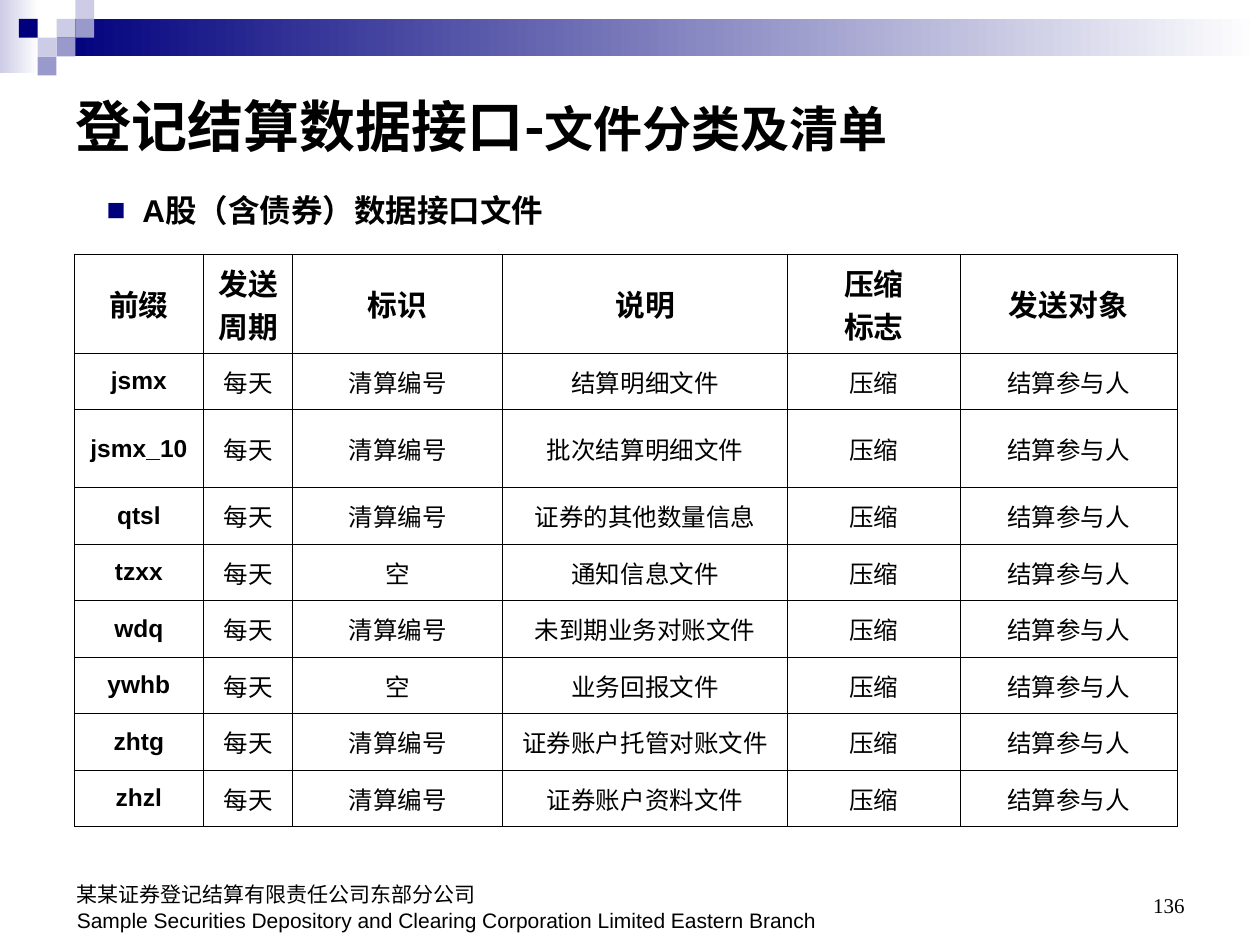
from lxml import etree
from pptx import Presentation
from pptx import util as u
from pptx.dml.color import RGBColor
from pptx.enum import shapes, text
from pptx.oxml.ns import qn

NAVY, LILAC, PALE, WHITE, BLACK = "00007D", "9999CC", "CCCCE6", "FFFFFF", "000000"
LATIN, ASIAN, SERIF = "Arial", "Noto Sans CJK SC", "Times New Roman"
LEFT, CENTER, RIGHT = text.PP_ALIGN.LEFT, text.PP_ALIGN.CENTER, text.PP_ALIGN.RIGHT
SQUARE = 0.38  # side of the header squares, cm


def color(value):
    return RGBColor.from_string(value)


class SlideBuilder:
    def __init__(self, slide):
        self.slide = slide

    def place(self, shape, left, top, width, height):
        shape.left, shape.top = u.Cm(left), u.Cm(top)
        shape.width, shape.height = u.Cm(width), u.Cm(height)

    def run(self, paragraph, words, size, bold=False, latin=LATIN):
        run = paragraph.add_run()
        run.text = words
        run.font.size, run.font.bold, run.font.name = u.Pt(size), bold, latin
        run.font.color.rgb = color(BLACK)
        etree.SubElement(run._r.get_or_add_rPr(), qn("a:ea"), typeface=ASIAN)

    def indent(self, paragraph, length):
        properties = paragraph._p.get_or_add_pPr()
        properties.set("marL", str(u.Cm(length)))
        properties.set("indent", str(-u.Cm(length)))
        return properties

    def title(self, box, runs):
        shape = self.slide.shapes.title
        self.place(shape, *box)
        frame = shape.text_frame
        frame.auto_size = text.MSO_AUTO_SIZE.NONE
        frame.vertical_anchor = text.MSO_ANCHOR.BOTTOM
        paragraph = frame.paragraphs[0]
        paragraph.alignment = LEFT
        for words, size in runs:
            self.run(paragraph, words, size, True, ASIAN)

    def rectangle(self, box, start, end=None):
        shape = self.slide.shapes.add_shape(
            shapes.MSO_SHAPE.RECTANGLE, *[u.Cm(length) for length in box])
        shape.shadow.inherit = False
        shape.line.fill.background()
        if end is None:
            shape.fill.solid()
            shape.fill.fore_color.rgb = color(start)
            return
        shape.fill.gradient()
        shape.fill.gradient_angle = 0
        for stop, value in zip(shape.fill.gradient_stops, (start, end)):
            stop.color.rgb = color(value)

    def text_box(self, box, lines, size, bold=False, latin=LATIN, align=LEFT,
                 anchor=text.MSO_ANCHOR.BOTTOM, bullet=False):
        frame = self.slide.shapes.add_textbox(
            *[u.Cm(length) for length in box]).text_frame
        frame.word_wrap = True
        frame.vertical_anchor = anchor
        for index, words in enumerate(lines):
            paragraph = frame.add_paragraph() if index else frame.paragraphs[0]
            paragraph.alignment = align
            if bullet:
                properties = self.indent(paragraph, 0.72)
                bullet_color = etree.SubElement(properties, qn("a:buClr"))
                etree.SubElement(bullet_color, qn("a:srgbClr"), val=NAVY)
                etree.SubElement(properties, qn("a:buFont"), typeface=LATIN)
                etree.SubElement(properties, qn("a:buChar"), char="■")
            self.run(paragraph, words, size, bold, latin)

    def borders(self, cell, width=0.45):
        properties = cell._tc.get_or_add_tcPr()
        for index, side in enumerate(("lnL", "lnR", "lnT", "lnB")):
            line = etree.Element(qn("a:" + side), w=str(u.Pt(width)))
            fill = etree.SubElement(line, qn("a:solidFill"))
            etree.SubElement(fill, qn("a:srgbClr"), val=BLACK)
            properties.insert(index, line)

    def cell(self, cell, words, size, bold):
        cell.fill.background()
        cell.vertical_anchor = text.MSO_ANCHOR.MIDDLE
        self.borders(cell)
        for index, line in enumerate(words.split("\n")):
            frame = cell.text_frame
            paragraph = frame.add_paragraph() if index else frame.paragraphs[0]
            paragraph.alignment = CENTER
            self.indent(paragraph, 0.95)
            self.run(paragraph, line, size, bold)

    def table(self, left, top, widths, heights, rows):
        table = self.slide.shapes.add_table(
            len(rows), len(widths), u.Cm(left), u.Cm(top),
            u.Cm(sum(widths)), u.Cm(sum(heights))).table
        table.first_row = table.horz_banding = False
        for column, width in zip(table.columns, widths):
            column.width = u.Cm(width)
        for row, height in zip(table.rows, heights):
            row.height = u.Cm(height)
        for r, row in enumerate(rows):
            for c, words in enumerate(row):
                self.cell(table.cell(r, c), words, 14 if r else 17, r == 0 or c == 0)


def main():
    presentation = Presentation()
    presentation.slide_width, presentation.slide_height = u.Cm(25.4), u.Cm(19.05)
    builder = SlideBuilder(
        presentation.slides.add_slide(presentation.slide_layouts[5]))

    # Header band and squares (column, row on the grid of squares)
    builder.rectangle((0, 0, 0.78, 1.48), PALE, WHITE)
    builder.rectangle((3 * SQUARE, SQUARE, 24.26, 2 * SQUARE), NAVY, WHITE)
    squares = [(3, 1, PALE), (4, 0, PALE), (4, 1, LILAC), (2, 2, PALE),
               (1, 1, NAVY), (3, 2, LILAC), (2, 3, LILAC)]
    for column, row, fill in squares:
        builder.rectangle((column * SQUARE, row * SQUARE, SQUARE, SQUARE), fill)

    # Footer and page number
    builder.text_box((1.3, 17.65, 16.6, 1.27), [
        "某某证券登记结算有限责任公司东部分公司",
        "Sample Securities Depository and Clearing Corporation Limited Eastern Branch",
    ], 12)
    builder.text_box((18.2, 17.35, 5.93, 1.27), ["136"], 12, latin=SERIF, align=RIGHT)

    # Title
    builder.title((1.27, 1.27, 22.86, 2.06),
                  [("登记结算数据接口-", 32), ("文件分类及清单", 28)])

    # File list: prefix, identifier, description; the other columns are constant
    files = [
        ("jsmx", "清算编号", "结算明细文件"),
        ("jsmx_10", "清算编号", "批次结算明细文件"),
        ("qtsl", "清算编号", "证券的其他数量信息"),
        ("tzxx", "空", "通知信息文件"),
        ("wdq", "清算编号", "未到期业务对账文件"),
        ("ywhb", "空", "业务回报文件"),
        ("zhtg", "清算编号", "证券账户托管对账文件"),
        ("zhzl", "清算编号", "证券账户资料文件"),
    ]
    rows = [("前缀", "发送\n周期", "标识", "说明", "压缩\n标志", "发送对象")]
    rows += [(prefix, "每天", identifier, description, "压缩", "结算参与人")
             for prefix, identifier, description in files]
    builder.table(1.5, 5.13, [2.6, 1.8, 4.23, 5.75, 3.47, 4.38],
                  [1.99, 1.14, 1.57] + [1.14] * 6, rows)

    # Subheading
    builder.text_box((1.9, 3.73, 10, 1.02), ["A股（含债券）数据接口文件"], 18,
                     bold=True, anchor=text.MSO_ANCHOR.TOP, bullet=True)

    presentation.save("out.pptx")


if __name__ == "__main__":
    main()
